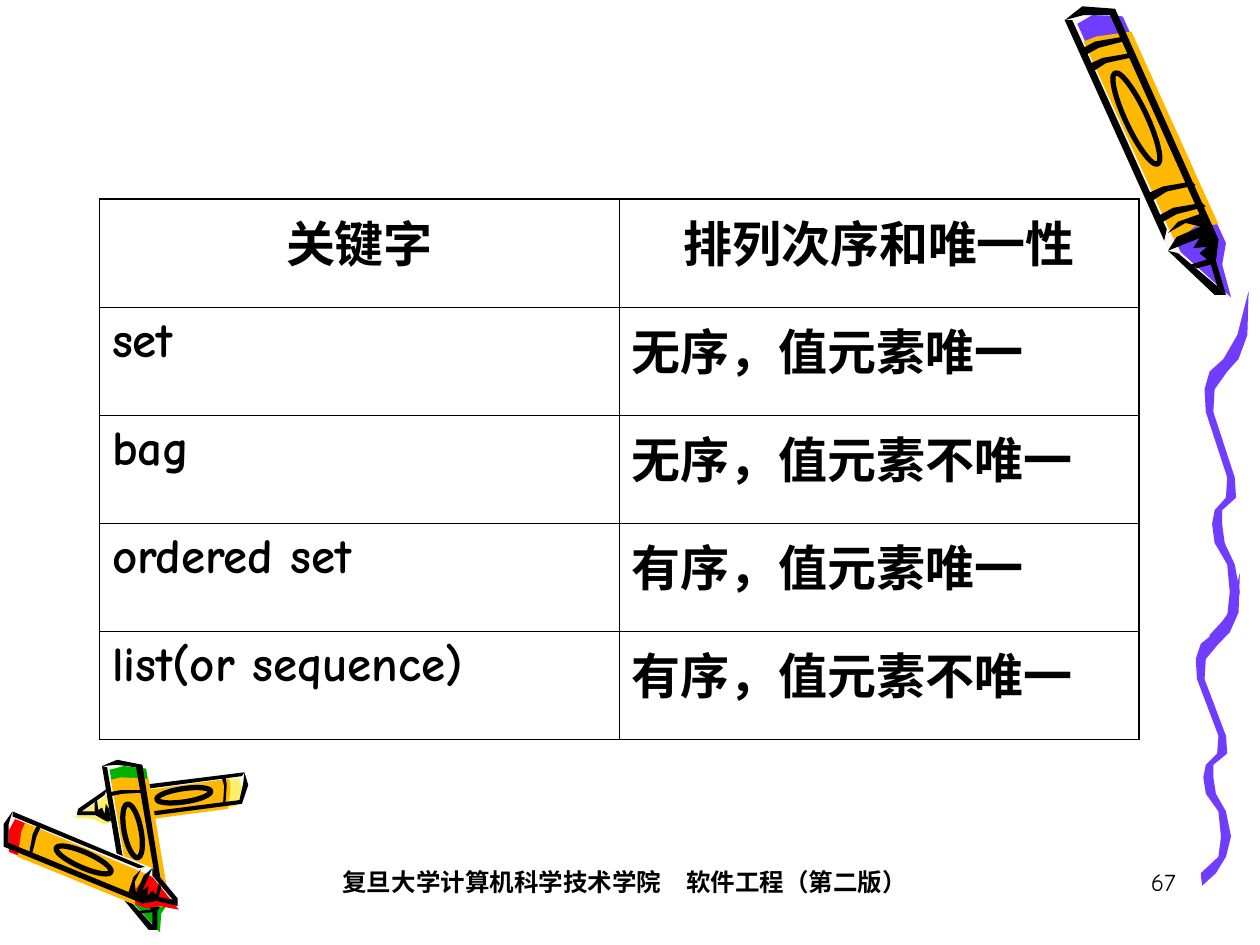
import math

from lxml import etree
from pptx import Presentation
from pptx import util as u
from pptx.dml.color import RGBColor
from pptx.enum import shapes, text
from pptx.oxml.ns import qn

PX = 9144  # EMU in one px, 100 px to the inch
FONT = "Comic Neue"
COLORS = {
    "black": "000000", "purple": "703DFF", "orange": "FFB800", "paper": "F8F8F8",
    "yellow": "FFEF66", "red": "FF0000", "green": "00B200",
}

# One crayon pattern serves all four: points are (along, across) its axis,
# from the tail at 0 to the tip at 250
CRAYON_LENGTH, CRAYON_WIDTH = 250, 42
SILHOUETTE = [(-7, -24), (194, -28), (245, 0), (202, 14), (2, 16), (-11, -7)]
WAX = [(0, -17), (199, -19), (249, 2), (222, 7), (208, 16), (10, 19), (-1, -3)]
WRAPPER = [(191, -20), (185, -1), (192, 17), (24, 20), (15, -7), (15, -18)]
NEAR_EDGE = [(-7, -24), (185, -27), (178, -22), (-4, -19)]
FAR_EDGE = [(178, 7), (5, 10), (-4, -9), (-7, -24), (-11, -7), (2, 16), (202, 12)]
COLLAR = [(194, -28), (187, -17), (188, 4), (180, -6), (181, -22), (176, -11), (178, 7),
          (202, 12), (217, 3), (218, -2), (216, -13), (211, -16), (213, -3), (206, -6),
          (204, 2), (200, -9), (195, -1)]
TIP_NEAR_EDGE = [(194, -28), (241, -9), (245, -1), (236, -5), (199, -21)]
TIP_FAR_EDGE = [(202, 12), (217, 3), (245, -1), (236, -5), (218, -2)]
STROKES = [NEAR_EDGE, FAR_EDGE, COLLAR, TIP_NEAR_EDGE, TIP_FAR_EDGE]
BAND = [(0, -22), (6, -22), (5, -9), (10, 14), (6, 13), (0, -10)]
LABEL_ACROSS, LABEL_LENGTH, LABEL_WIDTH = -6, 80, 17

# Middle line of the ribbon, from top to bottom: x, y, half the width
RIBBON = [(35, 0, 0), (30, 35, 4), (21, 54, 6), (11, 64, 7), (4, 78, 4), (4, 96, 3),
          (21, 148, 3), (21, 164, 4), (11, 174, 3), (10, 185, 4), (12, 200, 4),
          (21, 217, 3), (24, 239, 4), (21, 258, 3), (10, 273, 6), (5, 284, 0)]
RIBBON_HEIGHT = 284

ROWS = [
    ("关键字", "排列次序和唯一性"),
    ("set", "无序，值元素唯一"),
    ("bag", "无序，值元素不唯一"),
    ("ordered set", "有序，值元素唯一"),
    ("list(or sequence)", "有序，值元素不唯一"),
]


def rgb(name):
    return RGBColor.from_string(COLORS[name])


def add_outline(slide, color, points):
    """Fill a closed outline whose points are in px on the slide."""
    builder = slide.shapes.build_freeform(*points[0], scale=PX)
    builder.add_line_segments(points[1:], close=True)
    shape = builder.convert_to_shape()
    shape.shadow.inherit = False
    shape.fill.solid()
    shape.fill.fore_color.rgb = rgb(color)
    shape.line.fill.background()


def add_crayon(slide, left, top, tail, tip, width, wax, bands, label):
    """Draw a crayon from tail to tip; a negative width mirrors it."""
    run, rise = tip[0] - tail[0], tip[1] - tail[1]
    length = math.hypot(run, rise)
    cosine, sine = run / length, rise / length
    stretch, widen = length / CRAYON_LENGTH, width / CRAYON_WIDTH

    def place(along, across):
        along, across = along * stretch, across * widen
        return (left + tail[0] + along * cosine + across * sine,
                top + tail[1] + along * sine - across * cosine)

    def fill(color, outline):
        add_outline(slide, color, [place(*point) for point in outline])

    # Coloured areas, then black strokes and bands
    for color, outline in (("paper", SILHOUETTE), (wax, WAX), ("orange", WRAPPER)):
        fill(color, outline)
    for outline in STROKES:
        fill("black", outline)
    for start in bands:
        fill("black", [(start + along, across) for along, across in BAND])

    # Oval label, turned along the axis
    x, y = place(label, LABEL_ACROSS)
    oval_length, oval_width = LABEL_LENGTH * stretch, LABEL_WIDTH * abs(widen)
    box = (x - oval_length / 2, y - oval_width / 2, oval_length, oval_width)
    oval = slide.shapes.add_shape(shapes.MSO_SHAPE.OVAL, *(round(value * PX) for value in box))
    oval.rotation = math.degrees(math.atan2(rise, run))
    oval.shadow.inherit = False
    oval.fill.background()
    oval.line.color.rgb = rgb("black")
    oval.line.width = u.Pt(3)


def add_crayon_pile(slide, left, top):
    add_crayon(slide, left, top, (192, 28), (58, 48), 26, "yellow", [20], 85)
    add_crayon(slide, left, top, (100, 8), (126, 141), 33, "green", [33], 95)
    add_crayon(slide, left, top, (7, 61), (143, 121), -30, "red", [30], 106)


def add_ribbon(slide, left, top, height):
    stretch = height / RIBBON_HEIGHT
    left_side = [(left + x - half, top + y * stretch) for x, y, half in RIBBON]
    right_side = [(left + x + half, top + y * stretch) for x, y, half in RIBBON]
    add_outline(slide, "purple", left_side + right_side[::-1])


def write(paragraph, words, size, bold, align):
    paragraph.alignment = align
    run = paragraph.add_run()
    run.text = words
    run.font.name = FONT
    run.font.size = u.Pt(size)
    run.font.bold = bold
    run.font.color.rgb = rgb("black")


def add_border(cell, side, points):
    line = etree.SubElement(cell._tc.get_or_add_tcPr(), qn("a:ln" + side), w=str(u.Pt(points)))
    fill = etree.SubElement(line, qn("a:solidFill"))
    etree.SubElement(fill, qn("a:srgbClr"), val=COLORS["black"])


def add_keyword_table(slide, left, top, width, height):
    last_row, last_column = len(ROWS) - 1, len(ROWS[0]) - 1
    frame = slide.shapes.add_table(len(ROWS), len(ROWS[0]),
                                   left * PX, top * PX, width * PX, height * PX)
    table = frame.table
    table.first_row = table.horz_banding = False
    for r, row in enumerate(ROWS):
        for c, words in enumerate(row):
            cell = table.cell(r, c)
            align = text.PP_ALIGN.LEFT if r else text.PP_ALIGN.CENTER
            write(cell.text_frame.paragraphs[0], words, 28, True, align)
            outer_sides = {"L": c == 0, "R": c == last_column, "T": r == 0, "B": r == last_row}
            for side, outer in outer_sides.items():
                add_border(cell, side, 1.08 if outer else 0.45)
            cell.fill.background()


def add_footer(slide, left, top, width, height, words, bold, align):
    box = slide.shapes.add_textbox(left * PX, top * PX, width * PX, height * PX)
    box.text_frame.word_wrap = True
    write(box.text_frame.paragraphs[0], words, 14, bold, align)


def main():
    presentation = Presentation()
    presentation.slide_width, presentation.slide_height = 1000 * PX, 750 * PX
    slide = presentation.slides.add_slide(presentation.slide_layouts[6])

    # Decoration: pile at the bottom left, ribbon drawn by the large crayon
    add_crayon_pile(slide, 0, 600)
    add_ribbon(slide, 949, 455, 248)
    add_ribbon(slide, 956, 231, RIBBON_HEIGHT)
    add_crayon(slide, 800, 0, (70, 12), (176, 238), CRAYON_WIDTH, "purple",
               [19, 33, 146, 165], 88)

    # Content
    add_keyword_table(slide, 79, 158, 825, 429)
    add_footer(slide, 200, 683, 592, 50, "复旦大学计算机科学技术学院　软件工程（第二版）",
               True, text.PP_ALIGN.CENTER)
    add_footer(slide, 735, 683, 208, 50, "67", False, text.PP_ALIGN.RIGHT)

    presentation.save("out.pptx")


if __name__ == "__main__":
    main()
